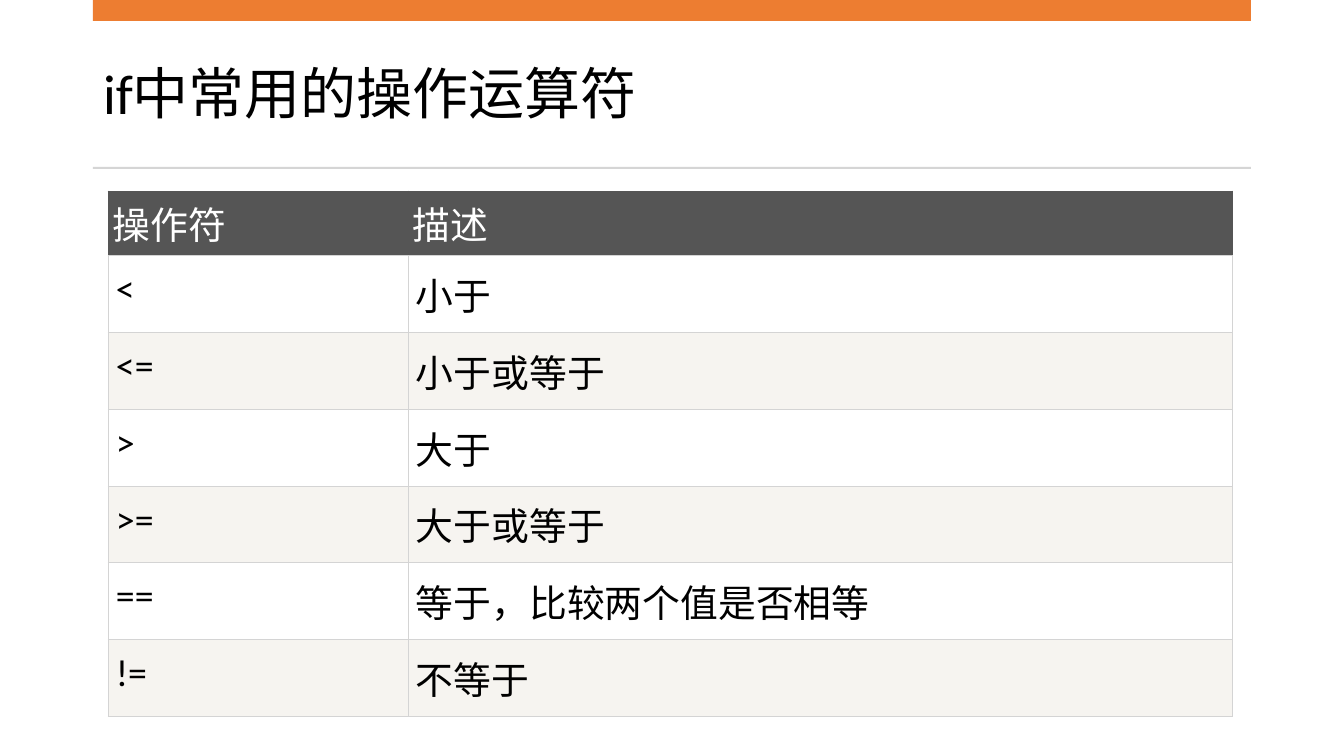
from lxml import etree
from pptx import Presentation
from pptx import util as u
from pptx.dml import color
from pptx.enum import shapes, text
from pptx.oxml import ns

PX = 914400 / 100.8


def px(*lengths):
    return [u.Emu(round(length * PX)) for length in lengths]


def paint(fill, hex_color):
    fill.solid()
    fill.fore_color.rgb = color.RGBColor.from_string(hex_color)


deck = Presentation()
deck.slide_width, deck.slide_height = px(1344, 756)
slide = deck.slides.add_slide(deck.slide_layouts[5])

title = slide.shapes.title
title.left, title.top, title.width, title.height = px(93, 37, 1158, 119)
title.text_frame.text = "if中常用的操作运算符"
title.text_frame.vertical_anchor = text.MSO_ANCHOR.MIDDLE
title.text_frame.auto_size = text.MSO_AUTO_SIZE.NONE
heading = title.text_frame.paragraphs[0]
heading.alignment = text.PP_ALIGN.LEFT
heading.line_spacing = 0.9
heading_font = heading.runs[0].font
heading_font.name = "Calibri"
heading_font.size = u.Pt(40)
paint(heading_font.fill, "000000")

for top, height, shade in [(0, 21, "ED7D31"), (167, 2, "D5D5D5")]:
    band = slide.shapes.add_shape(shapes.MSO_SHAPE.RECTANGLE, *px(93, top, 1158, height))
    band.shadow.inherit = False
    paint(band.fill, shade)
    band.line.fill.background()

operators = [
    ("操作符", "描述"),
    ("<", "小于"),
    ("<=", "小于或等于"),
    (">", "大于"),
    (">=", "大于或等于"),
    ("==", "等于，比较两个值是否相等"),
    ("!=", "不等于"),
]
table = slide.shapes.add_table(len(operators), 2, *px(108, 191, 1125, 500)).table
for column, width in zip(table.columns, px(300, 825)):
    column.width = width

for row_index, entries in enumerate(operators):
    is_header = row_index == 0
    table.rows[row_index].height = px(60 if is_header else 73)[0]
    if is_header:
        cell_fill, ink, side, end = "555555", "FFFFFF", 5, 5
    else:
        cell_fill, ink, side, end = ("F6F4F0", "FFFFFF")[row_index % 2], "000000", 8, 11
    for column_index, entry in enumerate(entries):
        cell = table.cell(row_index, column_index)
        cell.margin_left, cell.margin_right = px(side, side)
        cell.margin_top, cell.margin_bottom = px(end, end)
        cell.text_frame.text = entry
        font = cell.text_frame.paragraphs[0].runs[0].font
        font.name = "Calibri"
        font.size = u.Pt(27)
        font.bold = False
        paint(font.fill, ink)
        properties = cell._tc.get_or_add_tcPr()
        for edge in ("lnL", "lnR", "lnT", "lnB"):
            border = etree.SubElement(properties, ns.qn("a:" + edge), w=str(u.Pt(0.75)))
            border_fill = etree.SubElement(border, ns.qn("a:solidFill"))
            border_color = "555555" if is_header and edge != "lnB" else "D4D4D4"
            etree.SubElement(border_fill, ns.qn("a:srgbClr"), val=border_color)
        paint(cell.fill, cell_fill)

deck.save("out.pptx")
